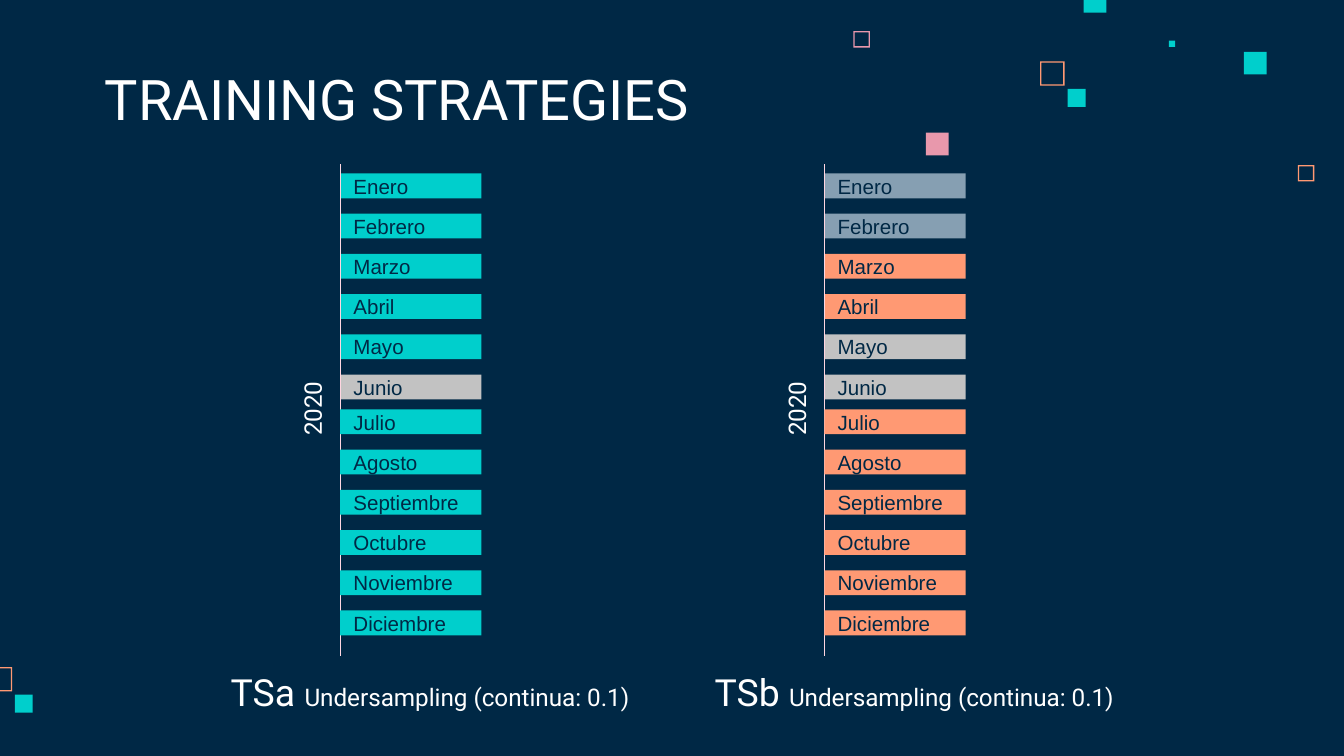
"""Build the training strategies slide: two monthly timelines for 2020."""
from lxml.etree import SubElement
from pptx import Presentation
from pptx.dml.color import RGBColor
from pptx.enum.shapes import MSO_CONNECTOR, MSO_SHAPE
from pptx.enum.text import MSO_ANCHOR, PP_ALIGN
from pptx.oxml.ns import qn
from pptx.util import Cm, Pt

NAVY = RGBColor(0x00, 0x28, 0x45)
WHITE = RGBColor(0xFF, 0xFF, 0xFF)
TEAL = RGBColor(0x00, 0xCF, 0xCC)
ORANGE = RGBColor(0xFF, 0x99, 0x73)
PINK = RGBColor(0xE8, 0x98, 0xAC)
PALE_PINK = RGBColor(0xFF, 0xD6, 0xE1)
GREY = RGBColor(0xC2, 0xC2, 0xC2)
SLATE = RGBColor(0x86, 0x9F, 0xB2)

TITLE = "TRAINING STRATEGIES"
YEAR = "2020"
METHOD = "Undersampling (continua: 0.1)"
MONTHS = ["Enero", "Febrero", "Marzo", "Abril", "Mayo", "Junio", "Julio",
          "Agosto", "Septiembre", "Octubre", "Noviembre", "Diciembre"]
STRATEGIES = [
    {"name": "TSa ", "axis": 6.43, "color": TEAL, "special": {"Junio": GREY}},
    {"name": "TSb ", "axis": 15.58, "color": ORANGE,
     "special": {"Enero": SLATE, "Febrero": SLATE, "Mayo": GREY, "Junio": GREY}},
]
HOLLOW_SQUARES = [
    (24.53, 3.12, 0.31, ORANGE), (16.13, 0.59, 0.31, PINK),
    (19.66, 1.16, 0.46, ORANGE), (-0.23, 12.61, 0.46, ORANGE),
]
SOLID_SQUARES = [
    (22.09, 0.77, 0.12, TEAL), (20.48, -0.19, 0.43, TEAL),
    (23.51, 0.98, 0.43, TEAL), (20.18, 1.68, 0.34, TEAL),
    (17.5, 2.51, 0.43, PINK), (0.28, 13.13, 0.34, TEAL),
]
AXIS_TOP, AXIS_LENGTH = 3.1, 9.3
BAR_WIDTH, BAR_HEIGHT, BAR_PITCH = 2.67, 0.47, 0.76
HALF_YEAR_TOPS = (3.28, 7.74)
SQUARE_OUTLINE = 0.025


def add_block(slide, kind, left, top, width, height, color):
    block = slide.shapes.add_shape(kind, Cm(left), Cm(top), Cm(width), Cm(height))
    block.shadow.inherit = False
    block.fill.solid()
    block.fill.fore_color.rgb = color
    block.line.fill.background()
    return block


def add_span(para, text, font, size, color):
    span = para.add_run()
    span.text = text
    span.font.name = font
    span.font.size = Pt(size)
    span.font.color.rgb = color


def add_label(slide, left, top, width, height, spans, align=PP_ALIGN.CENTER):
    box = slide.shapes.add_textbox(Cm(left), Cm(top), Cm(width), Cm(height))
    frame = box.text_frame
    frame.word_wrap = True
    frame.margin_left = frame.margin_right = Cm(0.25)
    frame.margin_top = frame.margin_bottom = Cm(0.25)
    para = frame.paragraphs[0]
    para.alignment = align
    for text, size in spans:
        add_span(para, text, "Roboto", size, WHITE)
    return box


def add_bar(slide, strategy, index):
    month = MONTHS[index]
    half, row = divmod(index, 6)
    color = strategy["special"].get(month, strategy["color"])
    bar = add_block(slide, MSO_SHAPE.RECTANGLE, strategy["axis"],
                    HALF_YEAR_TOPS[half] + row * BAR_PITCH, BAR_WIDTH, BAR_HEIGHT, color)
    frame = bar.text_frame
    frame.margin_left = frame.margin_right = Cm(0.25)
    frame.margin_top = frame.margin_bottom = 0
    frame.vertical_anchor = MSO_ANCHOR.MIDDLE
    para = frame.paragraphs[0]
    para.alignment = PP_ALIGN.LEFT
    add_span(para, month, "Arial", 11, NAVY)


def add_axis(slide, left):
    axis = slide.shapes.add_connector(MSO_CONNECTOR.STRAIGHT, Cm(left), Cm(AXIS_TOP),
                                      Cm(left), Cm(AXIS_TOP + AXIS_LENGTH))
    axis.line.color.rgb = PALE_PINK
    axis.line.width = Pt(0.75)
    SubElement(axis._element.spPr, qn("a:effectLst"))


def add_strategy(slide, strategy):
    left = strategy["axis"]
    for index in range(6):
        add_bar(slide, strategy, index)
    add_axis(slide, left)
    for index in range(6, 12):
        add_bar(slide, strategy, index)
    add_label(slide, left - 2.38, 12.4, 8.15, 1.37, [(strategy["name"], 20), (METHOD, 13)])
    year = add_label(slide, left - 5.18, 7.19, 9.32, 1.07, [(YEAR, 13)])
    year.rotation = 270


def main():
    deck = Presentation()
    deck.slide_width, deck.slide_height = Cm(25.4), Cm(14.29)
    slide = deck.slides.add_slide(deck.slide_layouts[6])
    slide.background.fill.solid()
    slide.background.fill.fore_color.rgb = NAVY

    for left, top, size, color in HOLLOW_SQUARES:
        square = add_block(slide, MSO_SHAPE.FRAME, left, top, size, size, color)
        square.adjustments[0] = SQUARE_OUTLINE / size
    for left, top, size, color in SOLID_SQUARES:
        add_block(slide, MSO_SHAPE.RECTANGLE, left, top, size, size, color)

    title = add_label(slide, 1.73, 1.14, 13.13, 1.6, [(TITLE, 30)], PP_ALIGN.LEFT)
    title.text_frame.vertical_anchor = MSO_ANCHOR.BOTTOM
    for strategy in STRATEGIES:
        add_strategy(slide, strategy)
    deck.save("out.pptx")


if __name__ == "__main__":
    main()
